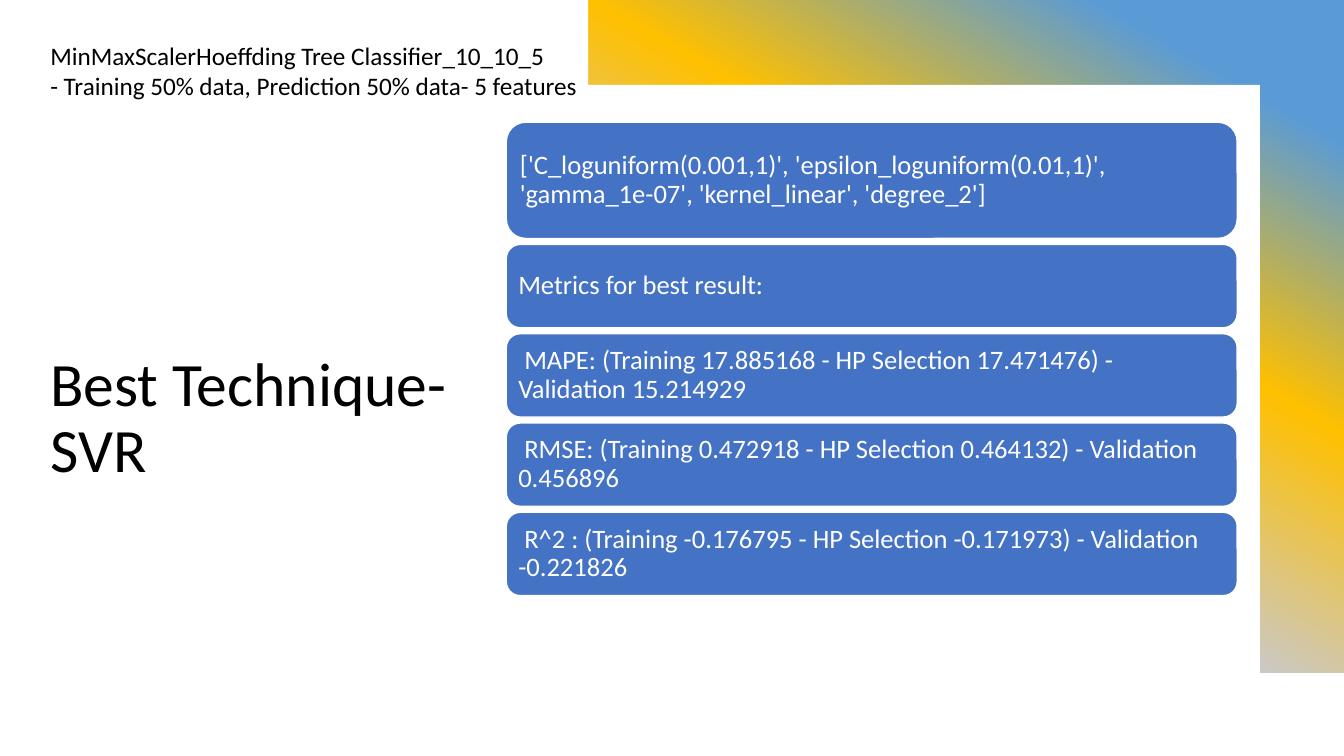
from dataclasses import dataclass

from lxml.etree import SubElement
from pptx import Presentation
from pptx.dml.color import RGBColor
from pptx.enum.shapes import MSO_SHAPE as Shape
from pptx.enum.text import MSO_ANCHOR as Anchor, PP_ALIGN as Align
from pptx.oxml.ns import qn
from pptx.util import Cm, Pt


@dataclass(frozen=True)
class Theme:
    font: str = "Calibri"
    white: str = "FFFFFF"
    black: str = "000000"
    blue: str = "4472C4"
    gradient: tuple = ((10, "5B9BD5"), (30, "FFC000"), (50, "C9C9C9"),
                       (70, "ED7D31"), (90, "4472C4"))
    gradient_angle: int = 120
    title_size: int = 44
    bar_size: int = 19
    note_size: int = 18


class SlideBuilder:
    def __init__(self, slide, theme):
        self.slide = slide
        self.theme = theme

    def set_text(self, shape, text, size, color, anchor, spacing):
        frame = shape.text_frame
        frame.word_wrap = True
        frame.vertical_anchor = anchor
        frame.text = text
        paragraph = frame.paragraphs[0]
        paragraph.alignment = Align.LEFT
        paragraph.line_spacing = spacing
        paragraph.font.name = self.theme.font
        paragraph.font.size = Pt(size)
        paragraph.font.color.rgb = RGBColor.from_string(color)

    def text(self, left, top, width, height, text, size, anchor=Anchor.TOP, spacing=1.0):
        box = self.slide.shapes.add_textbox(Cm(left), Cm(top), Cm(width), Cm(height))
        self.set_text(box, text, size, self.theme.black, anchor, spacing)

    def bar(self, left, top, width, height, text):
        shape = self.slide.shapes.add_shape(
            Shape.ROUNDED_RECTANGLE, Cm(left), Cm(top), Cm(width), Cm(height))
        shape.shadow.inherit = False
        shape.fill.solid()
        shape.fill.fore_color.rgb = RGBColor.from_string(self.theme.blue)
        shape.line.color.rgb = RGBColor.from_string(self.theme.white)
        shape.line.width = Pt(1)
        frame = shape.text_frame
        frame.margin_left = frame.margin_right = Cm(0.2)
        frame.margin_top = frame.margin_bottom = Cm(0.2)
        self.set_text(shape, text, self.theme.bar_size, self.theme.white, Anchor.MIDDLE, 0.9)

    def gradient_band(self, width, height):
        shape = self.slide.shapes.add_shape(Shape.RECTANGLE, 0, 0, Cm(width), Cm(height))
        shape.shadow.inherit = False
        shape.line.fill.background()
        shape.fill.gradient()
        gradient = shape.element.spPr.find(qn("a:gradFill"))
        for child in list(gradient):
            gradient.remove(child)
        stops = SubElement(gradient, qn("a:gsLst"))
        for position, color in self.theme.gradient:
            stop = SubElement(stops, qn("a:gs"), pos=str(position * 1000))
            SubElement(stop, qn("a:srgbClr"), val=color)
        SubElement(gradient, qn("a:lin"),
                   ang=str(self.theme.gradient_angle * 60000), scaled="0")

    def panel(self, points):
        start, *others = [(Cm(x), Cm(y)) for x, y in points]
        builder = self.slide.shapes.build_freeform(*start)
        builder.add_line_segments(others, close=True)
        shape = builder.convert_to_shape()
        shape.shadow.inherit = False
        shape.fill.solid()
        shape.fill.fore_color.rgb = RGBColor.from_string(self.theme.white)
        shape.line.fill.background()


BARS = (
    (2.93, "['C_loguniform(0.001,1)', 'epsilon_loguniform(0.01,1)', "
           "'gamma_1e-07', 'kernel_linear', 'degree_2']"),
    (2.1, "Metrics for best result:"),
    (2.1, " MAPE: (Training 17.885168 - HP Selection 17.471476) - Validation 15.214929"),
    (2.1, " RMSE: (Training 0.472918 - HP Selection 0.464132) - Validation 0.456896"),
    (2.1, " R^2 : (Training -0.176795 - HP Selection -0.171973) - Validation -0.221826"),
)
BAR_GAP = 0.15


def main():
    presentation = Presentation()
    presentation.slide_width = Cm(33.87)
    presentation.slide_height = Cm(19.05)
    theme = Theme()
    builder = SlideBuilder(presentation.slides.add_slide(presentation.slide_layouts[6]), theme)

    builder.gradient_band(33.87, 16.95)
    builder.panel([(0, 0), (14.82, 0), (14.82, 2.14), (31.75, 2.14), (31.75, 17.15), (0, 17.15)])
    builder.text(1.02, 4.6, 12.73, 7.77, "Best Technique- SVR",
                 theme.title_size, Anchor.BOTTOM, 0.9)

    top = 3.08
    for height, text in BARS:
        builder.bar(12.76, top, 18.42, height, text)
        top += height + BAR_GAP

    builder.text(1.02, 0.89, 16.94, 1.8,
                 "MinMaxScalerHoeffding Tree Classifier_10_10_5\v"
                 "- Training 50% data, Prediction 50% data- 5 features", theme.note_size)
    presentation.save("out.pptx")


if __name__ == "__main__":
    main()
